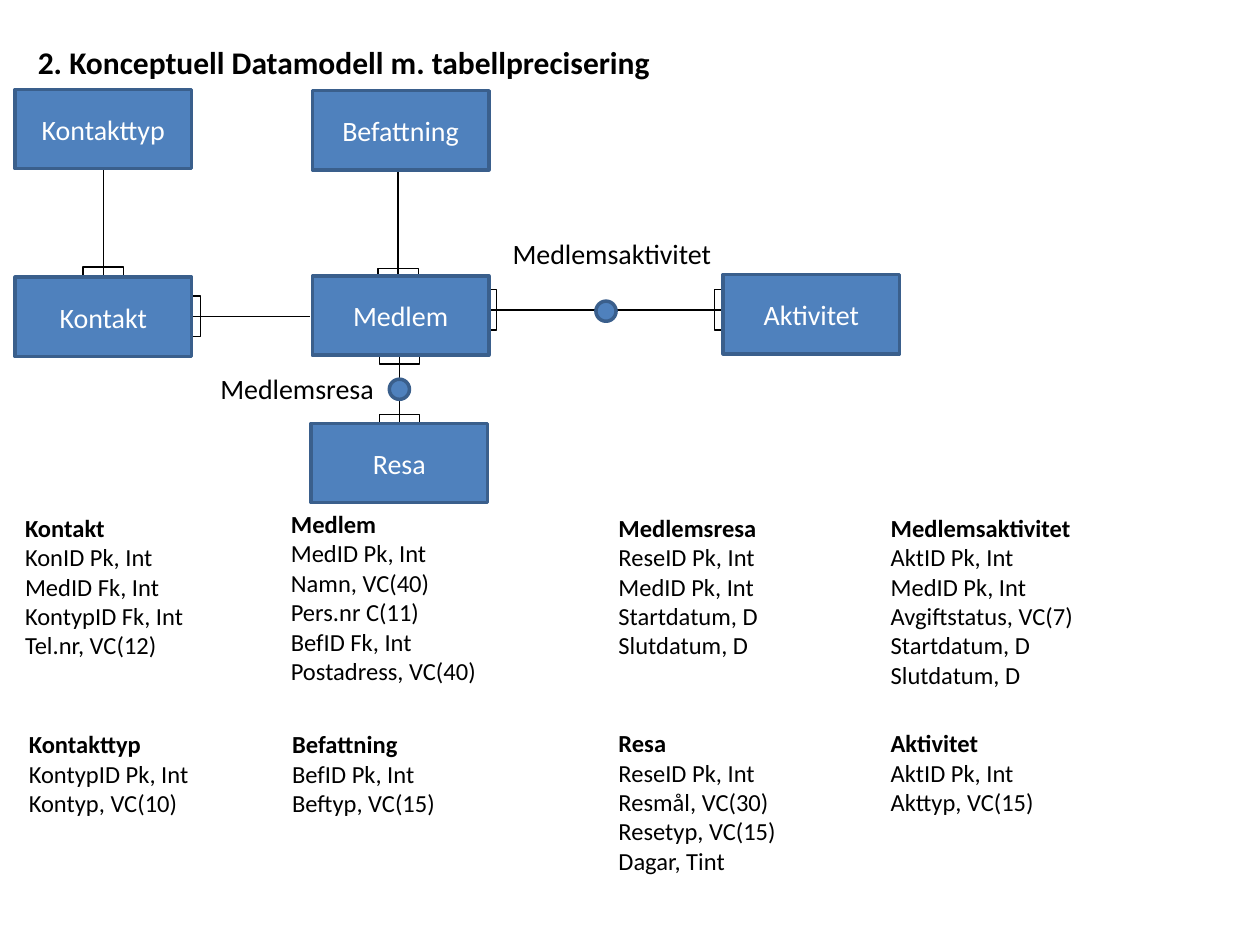
"""Build the slide with a conceptual data model and its table definitions."""
import pptx
import pptx.util
import pptx.dml.color
import pptx.enum.shapes
import pptx.enum.text
import pptx.oxml.ns
from lxml import etree

Inches, Pt = pptx.util.Inches, pptx.util.Pt
RGBColor = pptx.dml.color.RGBColor
MSO_SHAPE = pptx.enum.shapes.MSO_SHAPE
PP_ALIGN, MSO_ANCHOR = pptx.enum.text.PP_ALIGN, pptx.enum.text.MSO_ANCHOR

BLACK = RGBColor(0x00, 0x00, 0x00)
WHITE = RGBColor(0xFF, 0xFF, 0xFF)
BLUE = RGBColor(0x4F, 0x81, 0xBD)
DARK_BLUE = RGBColor(0x3A, 0x5F, 0x8C)
FONT = "Calibri"

TITLE = "2. Konceptuell Datamodell m. tabellprecisering"
ENTITY_W, ENTITY_H = 1.4, 0.63
ENTITIES = [
    ("Aktivitet", 5.74, 2.18),
    ("Kontakt", 0.12, 2.2),
    ("Kontakttyp", 0.12, 0.71),
    ("Befattning", 2.48, 0.72),
    ("Medlem", 2.48, 2.19),
    ("Resa", 2.47, 3.36),
]
FOOT_DEPTH, FOOT_SPAN = 0.07, 0.32
LINKS = [
    ((3.16, 1.27), (3.16, 2.2)),
    ((0.82, 1.25), (0.82, 2.19)),
    ((2.46, 2.51), (1.52, 2.51)),
    ((4.81, 2.46), (3.87, 2.46)),
    ((4.81, 2.46), (5.74, 2.46)),
    ((3.17, 3.09), (3.17, 3.36)),
    ((3.17, 3.09), (3.17, 2.82)),
]
DOT = 0.16
DOTS = [(4.73, 2.39), (3.09, 3.01)]
LABELS = [("Medlemsaktivitet", 3.97, 1.83, 2.03), ("Medlemsresa", 1.65, 2.9, 1.69)]
TABLE_W, LINE_H, PADDING = 2.72, 0.235, 0.1
TABLES = [
    (0.1, 4.02, ["Kontakt", "KonID Pk, Int", "MedID Fk, Int", "KontypID Fk, Int",
                 "Tel.nr, VC(12)"]),
    (0.13, 5.74, ["Kontakttyp", "KontypID Pk, Int", "Kontyp, VC(10)"]),
    (2.21, 3.99, ["Medlem", "MedID Pk, Int", "Namn, VC(40)", "Pers.nr C(11)",
                  "BefID Fk, Int", "Postadress, VC(40)"]),
    (2.22, 5.74, ["Befattning", "BefID Pk, Int", "Beftyp, VC(15)"]),
    (4.81, 4.02, ["Medlemsresa", "ReseID Pk, Int", "MedID Pk, Int", "Startdatum, D",
                  "Slutdatum, D"]),
    (4.81, 5.73, ["Resa", "ReseID Pk, Int", "Resmål, VC(30)", "Resetyp, VC(15)",
                  "Dagar, Tint"]),
    (6.97, 4.02, ["Medlemsaktivitet", "AktID Pk, Int", "MedID Pk, Int",
                  "Avgiftstatus, VC(7)", "Startdatum, D", "Slutdatum, D"]),
    (6.97, 5.73, ["Aktivitet", "AktID Pk, Int", "Akttyp, VC(15)"]),
]


def write(tf, lines, size, color=BLACK, align=PP_ALIGN.LEFT, bold_first=False):
    tf.word_wrap = True
    tf.text = "\n".join(lines)
    for i, p in enumerate(tf.paragraphs):
        p.alignment = align
        font = p.runs[0].font
        font.name, font.size, font.color.rgb = FONT, Pt(size), color
        font.bold = bold_first and i == 0


def add_box(slide, kind, x, y, w, h, fill=None, line=BLACK, width=0.75):
    sp = slide.shapes.add_shape(kind, Inches(x), Inches(y), Inches(w), Inches(h))
    sp.shadow.inherit = False
    if fill is None:
        sp.fill.background()
    else:
        sp.fill.solid()
        sp.fill.fore_color.rgb = fill
    sp.line.color.rgb, sp.line.width = line, Pt(width)
    return sp


def add_link(slide, start, end):
    (x1, y1), (x2, y2) = start, end
    line = slide.shapes.add_connector(
        pptx.enum.shapes.MSO_CONNECTOR.STRAIGHT, *map(Inches, (x1, y1, x2, y2)))
    line.line.color.rgb, line.line.width = BLACK, Pt(0.75)
    etree.SubElement(line._element.spPr, pptx.oxml.ns.qn("a:effectLst"))
    if x1 == x2:
        w, h = FOOT_SPAN, FOOT_DEPTH
        x, y = x2 - w / 2, y2 - h if y2 > y1 else y2
    else:
        w, h = FOOT_DEPTH, FOOT_SPAN
        x, y = x2 - w if x2 > x1 else x2, y2 - h / 2
    add_box(slide, MSO_SHAPE.RECTANGLE, x, y, w, h)


def add_text(slide, lines, x, y, w, h, size, bold_first=False):
    sp = slide.shapes.add_textbox(Inches(x), Inches(y), Inches(w), Inches(h))
    write(sp.text_frame, lines, size, bold_first=bold_first)


prs = pptx.Presentation()
prs.slide_width, prs.slide_height = Inches(10), Inches(7.5)
slide = prs.slides.add_slide(prs.slide_layouts[5])

title = slide.shapes.title
title.left, title.top, title.width, title.height = map(Inches, (0.2, 0.29, 7.09, 0.4))
write(title.text_frame, [TITLE], 18, bold_first=True)
title.text_frame.vertical_anchor = MSO_ANCHOR.TOP

for start, end in LINKS:
    add_link(slide, start, end)
for x, y in DOTS:
    add_box(slide, MSO_SHAPE.FLOWCHART_CONNECTOR, x, y, DOT, DOT, BLUE, DARK_BLUE, 2)
for name, x, y in ENTITIES:
    sp = add_box(slide, MSO_SHAPE.RECTANGLE, x, y, ENTITY_W, ENTITY_H, BLUE, DARK_BLUE, 2)
    write(sp.text_frame, [name], 16, WHITE, PP_ALIGN.CENTER)
    sp.text_frame.vertical_anchor = MSO_ANCHOR.MIDDLE
for name, x, y, w in LABELS:
    add_text(slide, [name], x, y, w, 0.37, 16)
for x, y, lines in TABLES:
    add_text(slide, lines, x, y, TABLE_W, PADDING + LINE_H * len(lines), 14, True)

prs.save("out.pptx")
